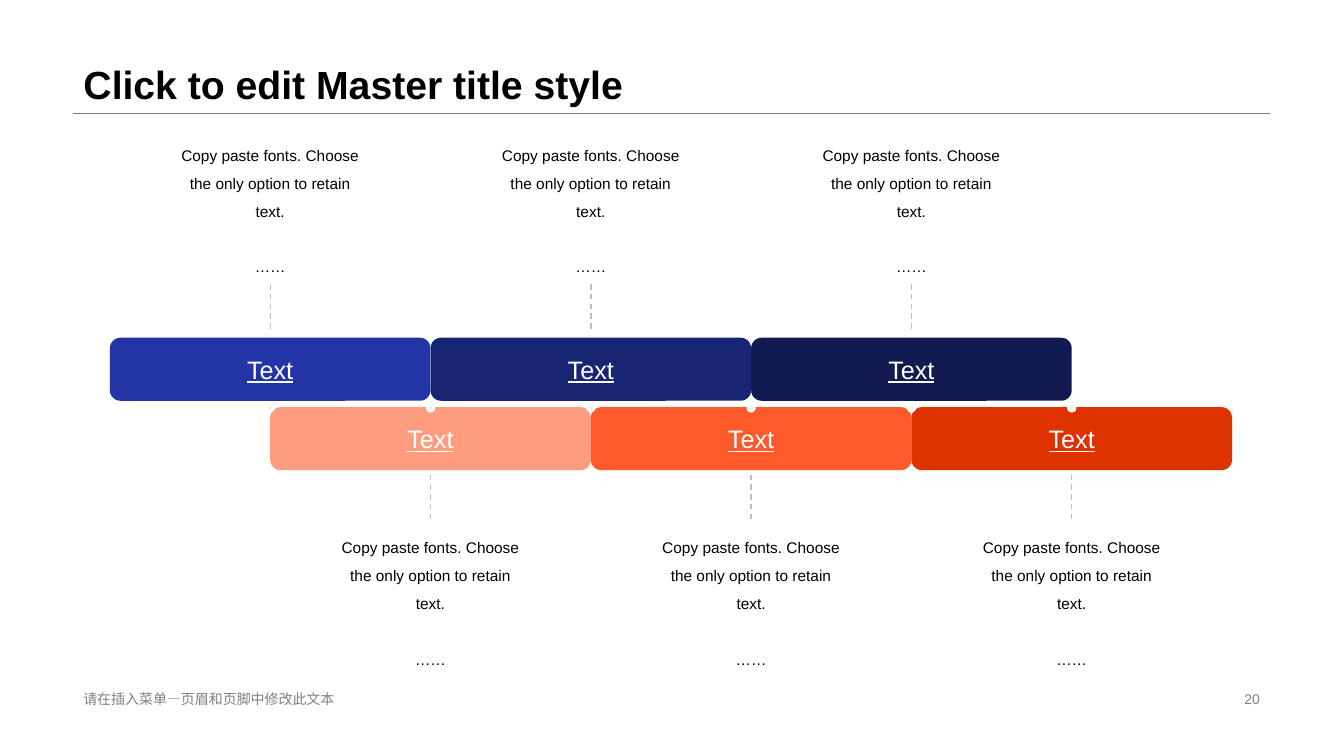
from dataclasses import dataclass

from lxml import etree
from pptx import Presentation
from pptx.dml.color import RGBColor
from pptx.enum import dml, shapes, text
from pptx.oxml import ns
from pptx.util import Cm, Pt

FONT = "Arial"
FIRST_CENTRE, STEP = 6.81, 4.04  # centimetres; bars are two steps wide
BAR_HEIGHT = 1.59
DOT_CENTRE, DOT_SIZE = 10.28, 0.18
NOTE_WIDTH, NOTE_HEIGHT = 5.23, 3.81
LINK_LENGTH = 1.22
NOTE = ["Copy paste fonts. Choose the only option to retain text.", "……"]


@dataclass(frozen=True)
class Row:
    bar_top: float
    link_top: float
    note_top: float


@dataclass(frozen=True)
class Stage:
    row: Row
    colour: str


UPPER = Row(bar_top=8.51, link_top=7.16, note_top=3.33)
LOWER = Row(bar_top=10.26, link_top=11.96, note_top=13.21)
STAGES = [
    Stage(UPPER, "2335A6"),
    Stage(LOWER, "FE9C80"),
    Stage(UPPER, "182573"),
    Stage(LOWER, "FE5A2C"),
    Stage(UPPER, "111A51"),
    Stage(LOWER, "DE3201"),
]


def rgb(colour: str) -> RGBColor:
    return RGBColor.from_string(colour)


def format_paragraph(paragraph, size: float, colour: str, align=text.PP_ALIGN.LEFT) -> None:
    paragraph.alignment = align
    paragraph.font.name = FONT
    paragraph.font.size = Pt(size)
    paragraph.font.color.rgb = rgb(colour)


def add_line(slide, start: tuple, end: tuple, colour: str, width: float):
    line = slide.shapes.add_connector(
        shapes.MSO_CONNECTOR.STRAIGHT, *map(Cm, start), *map(Cm, end))
    line.line.color.rgb = rgb(colour)
    line.line.width = Pt(width)
    etree.SubElement(line._element.spPr, ns.qn("a:effectLst"))
    return line


def add_text(slide, box: tuple, lines: list[str], size: float, colour: str,
             align=text.PP_ALIGN.LEFT, anchor=text.MSO_ANCHOR.MIDDLE):
    frame = slide.shapes.add_textbox(*map(Cm, box)).text_frame
    frame.word_wrap = True
    frame.vertical_anchor = anchor
    frame.text = "\n".join(lines)
    for paragraph in frame.paragraphs:
        format_paragraph(paragraph, size, colour, align)
    return frame


def add_filled(slide, kind, box: tuple, colour: str):
    shape = slide.shapes.add_shape(kind, *map(Cm, box))
    shape.shadow.inherit = False
    shape.fill.solid()
    shape.fill.fore_color.rgb = rgb(colour)
    shape.line.fill.background()
    return shape


def add_stage(slide, stage: Stage, centre: float) -> None:
    row = stage.row
    bar = add_filled(slide, shapes.MSO_SHAPE.ROUNDED_RECTANGLE,
                     (centre - STEP, row.bar_top, 2 * STEP, BAR_HEIGHT), stage.colour)
    bar.text_frame.text = "Text"
    bar.text_frame.vertical_anchor = text.MSO_ANCHOR.MIDDLE
    label = bar.text_frame.paragraphs[0]
    format_paragraph(label, 18, "FFFFFF", text.PP_ALIGN.CENTER)
    label.runs[0].font.underline = True

    link = add_line(slide, (centre, row.link_top), (centre, row.link_top + LINK_LENGTH),
                    "BFBFBF", 1)
    link.line.dash_style = dml.MSO_LINE.DASH

    note = add_text(slide, (centre - NOTE_WIDTH / 2, row.note_top, NOTE_WIDTH, NOTE_HEIGHT),
                    NOTE, 11, "000000", text.PP_ALIGN.CENTER, text.MSO_ANCHOR.TOP)
    for paragraph in note.paragraphs:
        paragraph.line_spacing = 1.5
    note.paragraphs[-1].space_before = Pt(20)


def add_dot(slide, centre: float) -> None:
    corner = (centre - DOT_SIZE / 2, DOT_CENTRE - DOT_SIZE / 2)
    dot = add_filled(slide, shapes.MSO_SHAPE.OVAL, (*corner, DOT_SIZE, DOT_SIZE), "F2F2F2")
    dot.line.color.rgb = rgb("FFFFFF")
    dot.line.width = Pt(1.5)


def main() -> None:
    presentation = Presentation()
    presentation.slide_width, presentation.slide_height = Cm(33.87), Cm(19.05)
    slide = presentation.slides.add_slide(presentation.slide_layouts[5])

    # Title and rule
    title = slide.shapes.title
    title.left, title.top, title.width, title.height = map(Cm, (1.85, 0, 30.15, 2.85))
    title.text_frame.text = "Click to edit Master title style"
    title.text_frame.vertical_anchor = text.MSO_ANCHOR.BOTTOM
    heading = title.text_frame.paragraphs[0]
    format_paragraph(heading, 28, "000000")
    heading.font.bold = True
    heading.line_spacing = 0.9
    add_line(slide, (1.85, 2.85), (32, 2.85), "808080", 0.25)

    # Staggered stages, then the dots on the seam between the rows
    centres = [FIRST_CENTRE + STEP * index for index in range(len(STAGES))]
    for stage, centre in zip(STAGES, centres):
        add_stage(slide, stage, centre)
    for centre in centres:
        add_dot(slide, centre)

    # Footer and page number
    add_text(slide, (1.85, 17.32, 11.5, 0.58), ["请在插入菜单—页眉和页脚中修改此文本"], 10, "808080")
    add_text(slide, (23.92, 17.32, 8.08, 0.58), ["20"], 10, "808080", text.PP_ALIGN.RIGHT)

    presentation.save("out.pptx")


if __name__ == "__main__":
    main()
